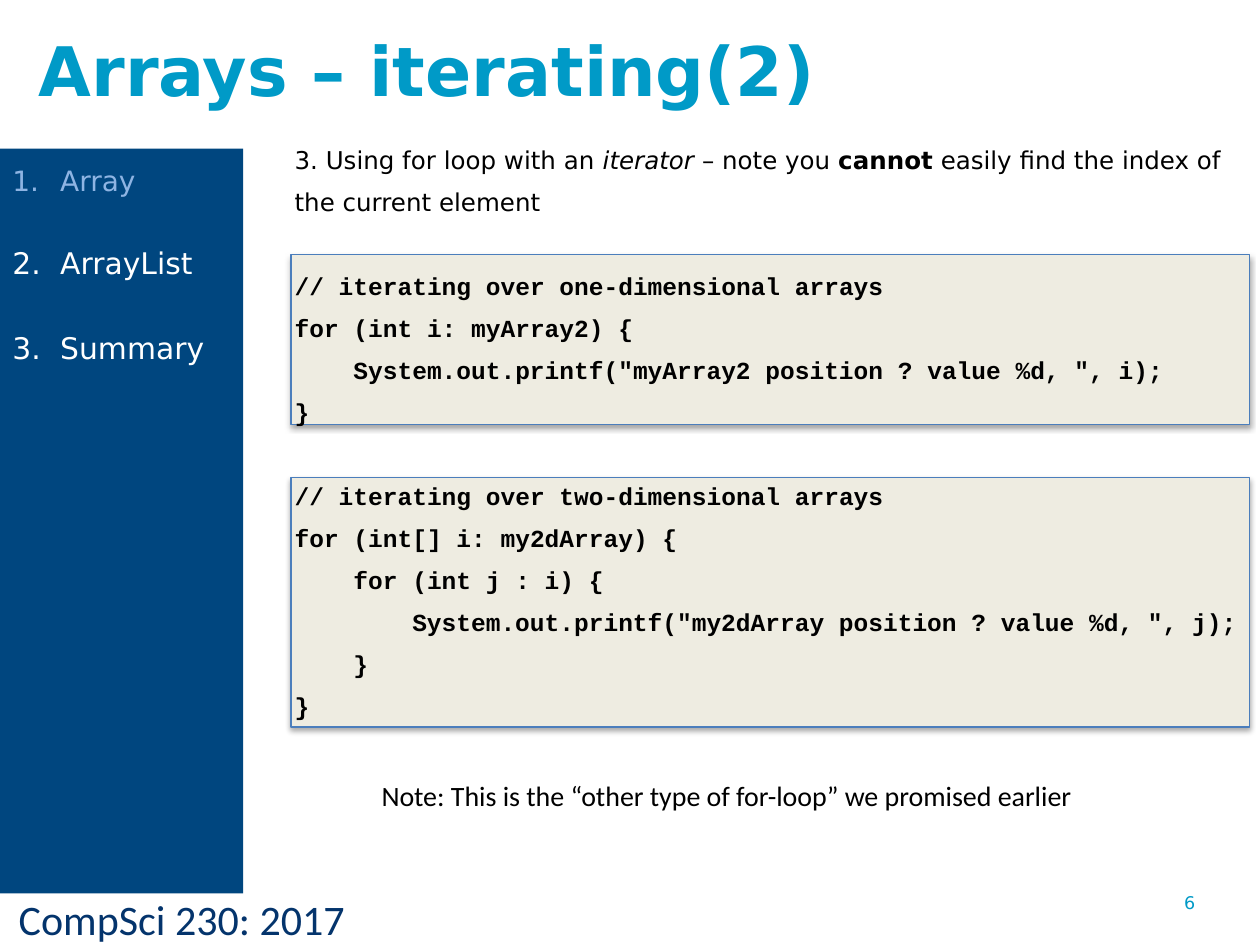
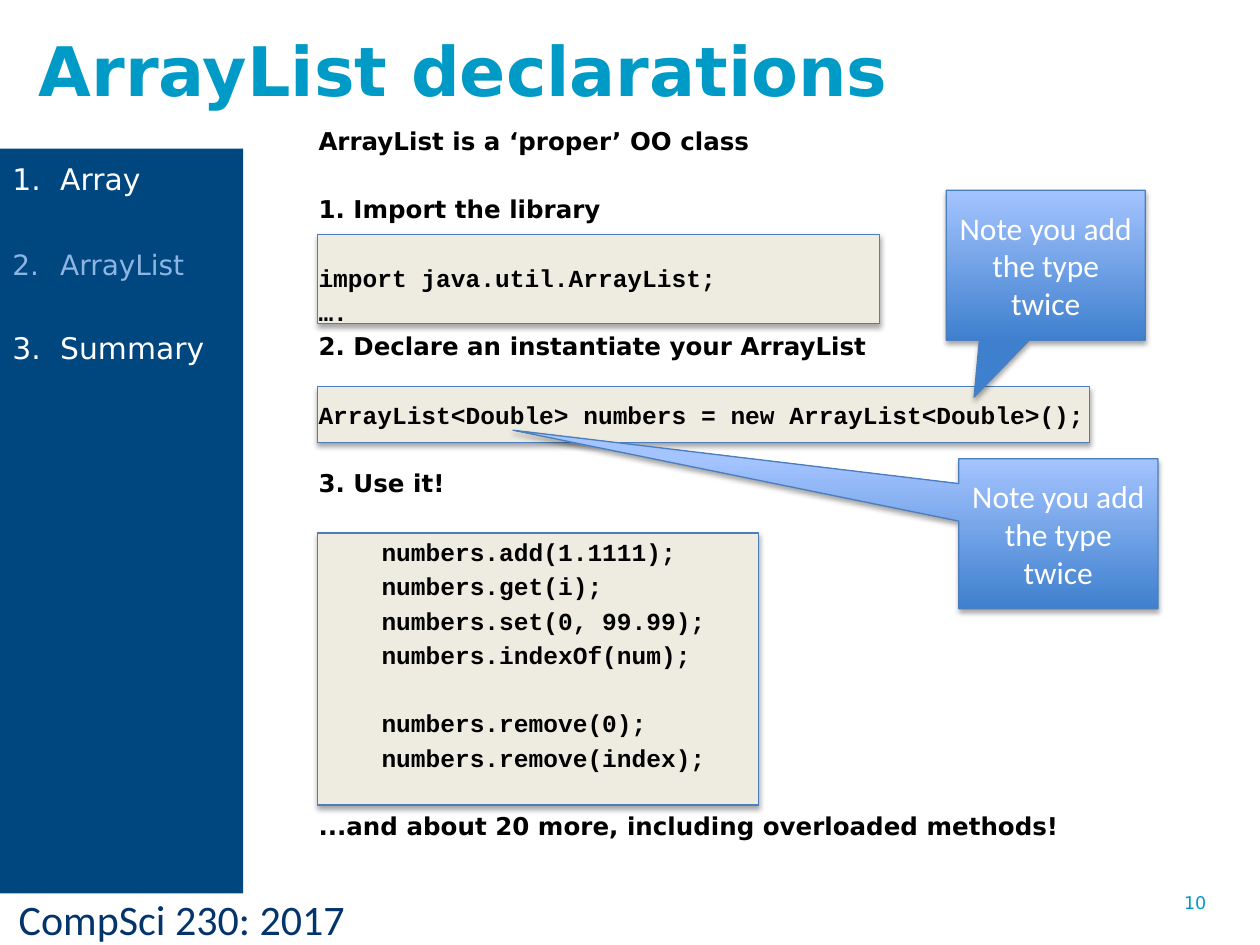
from pptx import Presentation
from pptx.dml.color import RGBColor
from pptx.enum.shapes import MSO_SHAPE
from pptx.enum.text import MSO_ANCHOR, PP_ALIGN
from pptx.oxml import parse_xml
from pptx.oxml.ns import nsdecls, qn
from pptx.util import Inches, Pt

# Colours
WHITE = RGBColor(0xFF, 0xFF, 0xFF)
BLACK = RGBColor(0, 0, 0)
NAVY = RGBColor(0x00, 0x46, 0x7F)
INK = RGBColor(0x04, 0x34, 0x6C)
CYAN = RGBColor(0x00, 0x9A, 0xC7)
PALE = RGBColor(0x8E, 0xB4, 0xE3)
CREAM = RGBColor(0xEE, 0xEC, 0xE1)
EDGE = RGBColor(0x4B, 0x7E, 0xBC)
DEEP = RGBColor(0x3F, 0x80, 0xCE)
LIGHT = RGBColor(0xA4, 0xC4, 0xFF)

SANS, MONO, PLAIN = "DejaVu Sans", "Courier New", "Calibri"

# The slide is a grid of 100 columns by 75 rows
COLS, ROWS = 100, 75
CELL = Inches(0.1)

# Boxes shared by all slides: column, row, columns, rows
TITLE = (2.1, 1.4, 71.3, 7.8)
SIDE = (0, 11.8, 19.3, 59.1)
FOOT = (0.5, 70.4, 40.5, 5)
NUMBER = (93, 70.3, 7, 5.2)
TOPICS = ["Array", "ArrayList", "Summary"]


def grid(box):
    return [round(n * CELL) for n in box]


def inside(box, part):
    """Place a part relative to the top left of a box."""
    return (box[0] + part[0], box[1] + part[1], part[2], part[3])


def style(par, size, color, face=SANS, bold=False):
    font = par.font
    font.size, font.name, font.bold = Pt(size), face, bold
    font.color.rgb = color


def label(slide, box, text, size, color, face=SANS, bold=False,
          anchor=MSO_ANCHOR.TOP):
    frame = slide.shapes.add_textbox(*grid(box)).text_frame
    frame.word_wrap = True
    frame.vertical_anchor = anchor
    par = frame.paragraphs[0]
    par.text = text
    style(par, size, color, face, bold)


def lines(frame, count):
    """Yield the first paragraph, then new ones."""
    for i in range(count):
        yield frame.add_paragraph() if i else frame.paragraphs[0]


def raised(slide, kind, box):
    """A shape with the thin blue edge and the soft shadow below."""
    shape = slide.shapes.add_shape(kind, *grid(box))
    shape.line.color.rgb = EDGE
    shape.line.width = Pt(0.75)
    shape.shadow.inherit = False
    shape._element.spPr.find(qn("a:effectLst")).append(parse_xml(
        f'<a:outerShdw {nsdecls("a")} blurRad="{Pt(3.1)}" dist="{Pt(1.8)}" '
        'dir="5400000" rotWithShape="0"><a:srgbClr val="000000">'
        '<a:alpha val="35000"/></a:srgbClr></a:outerShdw>'))
    return shape


def panel(slide, box):
    shape = raised(slide, MSO_SHAPE.RECTANGLE, box)
    shape.fill.solid()
    shape.fill.fore_color.rgb = CREAM


def callout(slide, box, tip, text):
    shape = raised(slide, MSO_SHAPE.RECTANGULAR_CALLOUT, box)
    shape.adjustments[0], shape.adjustments[1] = tip
    shape.fill.gradient()
    shape.fill.gradient_angle = 90
    for stop, color in zip(shape.fill.gradient_stops, (DEEP, LIGHT)):
        stop.color.rgb = color
    frame = shape.text_frame
    frame.word_wrap = True
    frame.vertical_anchor = MSO_ANCHOR.MIDDLE
    par = frame.paragraphs[0]
    par.text = text
    par.alignment = PP_ALIGN.CENTER
    style(par, 18, WHITE, PLAIN)


def sidebar(slide, box, now):
    """Numbered topics; the current one is paler and smaller."""
    bar = slide.shapes.add_shape(MSO_SHAPE.RECTANGLE, *grid(box))
    bar.shadow.inherit = False
    bar.fill.solid()
    bar.fill.fore_color.rgb = NAVY
    bar.line.fill.background()
    frame = bar.text_frame
    frame.word_wrap = True
    frame.vertical_anchor = MSO_ANCHOR.TOP
    for i, par in enumerate(lines(frame, len(TOPICS))):
        par.text = TOPICS[i]
        par.alignment = PP_ALIGN.LEFT
        par.line_spacing = Pt(24)
        par.space_before = Pt(24 if i else 0)
        style(par, *((16, PALE) if TOPICS[i] == now else (17, WHITE)))
        props = par._p.get_or_add_pPr()
        props.set("marL", str(Inches(0.38)))
        props.set("indent", str(-Inches(0.38)))
        mark = parse_xml(f'<a:buAutoNum {nsdecls("a")} type="arabicPeriod"/>')
        props.insert_element_before(mark, "a:tabLst", "a:defRPr", "a:extLst")


def body(slide, box, panels, pitch, rows):
    """Code panels, then text over them.

    A row is: text or runs, face, bold, indent in columns, lines skipped."""
    for part in panels:
        panel(slide, inside(box, part))
    frame = slide.shapes.add_textbox(*grid(box)).text_frame
    frame.word_wrap = True
    for row, par in zip(rows, lines(frame, len(rows))):
        text, face, bold, indent, skip = row
        for words, look in [(text, "")] if isinstance(text, str) else text:
            run = par.add_run()
            run.text = words
            if look:
                setattr(run.font, look, True)
        style(par, 14, BLACK, face, bold)
        par.line_spacing = Pt(pitch)
        par.space_before = Pt(pitch * skip)
        par._p.get_or_add_pPr().set("marL", str(round(indent * CELL)))


def code(text, indent=0, skip=0):
    return text, MONO, True, indent, skip


def head(text, indent=0, skip=0):
    return text, SANS, True, indent, skip


def base(deck, title, now, number):
    """A slide with everything that all slides share."""
    slide = deck.slides.add_slide(deck.slide_layouts[6])
    label(slide, FOOT, "CompSci 230: 2017", 24, INK, PLAIN)
    label(slide, NUMBER, str(number), 10, CYAN)
    label(slide, TITLE, title, 39, CYAN, bold=True, anchor=MSO_ANCHOR.BOTTOM)
    sidebar(slide, SIDE, now)
    return slide


def iterating(deck):
    slide = base(deck, "Arrays – iterating(2)", "Array", 6)
    step = 4.67  # four code characters
    intro = [("3. Using for loop with an ", ""), ("iterator ", "italic"),
             ("– note you ", ""), ("cannot", "bold"),
             (" easily find the index of the current element", "")]
    body(slide, (22.4, 10, 77.6, 52.3),
         [(0.7, 27.9, 76.1, 19.8), (0.7, 10.2, 76.1, 13.5)], 24, [
        (intro, SANS, None, 0, 0),
        code("// iterating over one-dimensional arrays", skip=1),
        code("for (int i: myArray2) {"),
        code('System.out.printf("myArray2 position ? value %d, ", i);', step),
        code("}"),
        code("// iterating over two-dimensional arrays", skip=1),
        code("for (int[] i: my2dArray) {"),
        code("for (int j : i) {", step),
        code('System.out.printf("my2dArray position ? value %d, ", j);',
             2 * step),
        code("}", step),
        code("}")])
    label(slide, (29.3, 61.3, 57.7, 3.7),
          "Note: This is the “other type of for-loop” we promised earlier",
          16, BLACK, PLAIN)


def declaring(deck):
    slide = base(deck, "ArrayList declarations", "ArrayList", 10)
    left, deep = 1, 6  # text indents
    calls = ["add(1.1111)", "get(i)", "set(0, 99.99)", "indexOf(num)",
             "remove(0)", "remove(index)"]
    skips = [1, 0, 0, 0, 1, 0]
    body(slide, (23.3, 9.1, 69.7, 58.6),
         [(1.9, 33.2, 35, 21.6), (1.9, 21.6, 61.3, 4.4),
          (1.9, 9.5, 44.6, 7.1)], 19.6, [
        head("ArrayList is a ‘proper’ OO class", left),
        head("1. Import the library", left, 1),
        code("import java.util.ArrayList;", left, 1),
        code("….", left),
        head("2. Declare an instantiate your ArrayList", left),
        code("ArrayList<Double> numbers = new ArrayList<Double>();", left, 1),
        head("3. Use it!", left, 1),
        *[code(f"numbers.{call};", deep, skip)
          for call, skip in zip(calls, skips)],
        head("...and about 20 more, including overloaded methods!", left, 1)])
    # Callouts pointing at the two type names
    for col, row, tip in [(75.1, 15.1, (-0.36, 0.88)),
                          (76.1, 36.4, (-2.74, -0.69))]:
        callout(slide, (col, row, 15.8, 11.9), tip,
                "Note you add the type twice")


deck = Presentation()
deck.slide_width, deck.slide_height = COLS * CELL, ROWS * CELL
iterating(deck)
declaring(deck)
deck.save("out.pptx")
